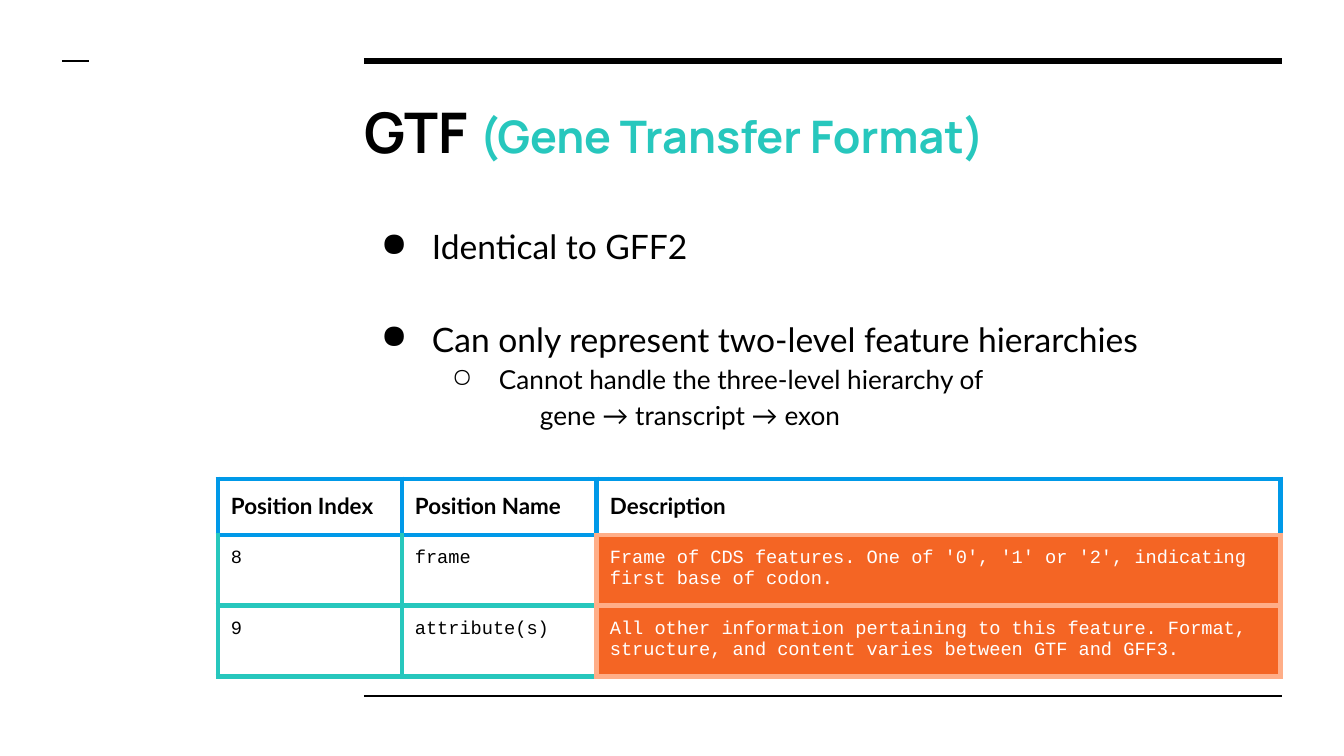
from lxml.etree import SubElement
from pptx import Presentation
from pptx.dml.color import RGBColor
from pptx.enum.shapes import MSO_CONNECTOR as Connector
from pptx.enum.text import MSO_ANCHOR as Anchor
from pptx.oxml.ns import qn
from pptx.util import Emu, Pt

SCALE = 914400 / 134.4
COLORS = {"black": "000000", "white": "FFFFFF", "aqua": "27C7BD",
          "blue": "0099E8", "orange": "F46524", "peach": "FFAE88"}
BORDER_RANK = ["aqua", "blue", "peach"]
PADDING = 13
BULLETS = [
    ("Identical to GFF2", 18, "●", 67, -51, 0),
    ("Can only represent two-level feature hierarchies", 18, "●", 67, -51, 24.84),
    ("Cannot handle the three-level hierarchy of", 14, "○", 134, -47, 0),
    ("gene → transcript → exon", 14, None, 175, 0, 0),
]
FIELDS = [
    ("Position Index", "Position Name", "Description"),
    ("8", "frame", "Frame of CDS features. One of '0', '1' or '2', "
     "indicating first base of codon."),
    ("9", "attribute(s)", "All other information pertaining to this feature. "
     "Format, structure, and content varies between GTF and GFF3."),
]
COLUMN_WIDTHS = (184, 195, 684)
ROW_HEIGHTS = (56, 69, 69)


def px(length):
    """Turn px into EMU."""
    return Emu(round(length * SCALE))


def color(name):
    """Return the named colour."""
    return RGBColor.from_string(COLORS[name])


def style_font(font, name, size, tint, bold=False):
    """Set the face, size, colour and weight of a font."""
    font.name, font.size, font.bold = name, Pt(size), bold
    font.color.rgb = color(tint)


def add_rule(page, left, right, y, weight):
    """Draw a horizontal black line."""
    rule = page.shapes.add_connector(
        Connector.STRAIGHT, px(left), px(y), px(right), px(y))
    rule.line.color.rgb = color("black")
    rule.line.width = Pt(weight)
    SubElement(rule._element.spPr, qn("a:effectLst"))


def add_frame(page, box):
    """Add a wrapping, padded text box and return its text frame."""
    frame = page.shapes.add_textbox(*map(px, box)).text_frame
    frame.word_wrap = True
    frame.vertical_anchor = Anchor.TOP
    frame.margin_left = frame.margin_right = px(PADDING)
    frame.margin_top = frame.margin_bottom = px(PADDING)
    return frame


def add_title(page, box):
    """Write the two-tone heading."""
    para = add_frame(page, box).paragraphs[0]
    for text, size, tint in (("GTF ", 30, "black"),
                             ("(Gene Transfer Format)", 24, "aqua")):
        span = para.add_run()
        span.text = text
        style_font(span.font, "Manrope", size, tint, True)


def add_bullets(page, box):
    """Write the two-level bullet list."""
    frame = add_frame(page, box)
    for index, (text, size, mark, margin, indent, gap) in enumerate(BULLETS):
        para = frame.add_paragraph() if index else frame.paragraphs[0]
        para.text = text
        para.line_spacing = 1.15
        para.space_before = Pt(gap)
        style_font(para.font, "Lato", size, "black")
        props = para._p.get_or_add_pPr()
        props.set("marL", str(px(margin)))
        props.set("indent", str(px(indent)))
        if mark:
            bullet = SubElement(props, qn("a:buChar"), char=mark)
            props.find(qn("a:defRPr")).addprevious(bullet)


def own_border(row, column):
    """Name the border colour of a cell's own kind."""
    if row == 0:
        return "blue"
    return "peach" if column == len(COLUMN_WIDTHS) - 1 else "aqua"


def draw_borders(cell, row, column):
    """Give each side the stronger colour of the cells that share it."""
    props = cell._tc.get_or_add_tcPr()
    for side, down, across in (("L", 0, -1), ("R", 0, 1), ("T", -1, 0), ("B", 1, 0)):
        sharing = [own_border(row, column)]
        next_row, next_column = row + down, column + across
        if 0 <= next_row < len(FIELDS) and 0 <= next_column < len(COLUMN_WIDTHS):
            sharing.append(own_border(next_row, next_column))
        tint = max(sharing, key=BORDER_RANK.index)
        line = SubElement(props, qn(f"a:ln{side}"), w=str(Pt(3)))
        fill = SubElement(line, qn("a:solidFill"))
        SubElement(fill, qn("a:srgbClr"), val=COLORS[tint])


def add_field_table(page, left, top):
    """Build the table of field positions."""
    table = page.shapes.add_table(
        len(FIELDS), len(COLUMN_WIDTHS), px(left), px(top),
        px(sum(COLUMN_WIDTHS)), px(sum(ROW_HEIGHTS))).table
    for column, width in zip(table.columns, COLUMN_WIDTHS):
        column.width = px(width)
    for row, height in zip(table.rows, ROW_HEIGHTS):
        row.height = px(height)
    for row, texts in enumerate(FIELDS):
        for column, text in enumerate(texts):
            cell = table.cell(row, column)
            vivid = own_border(row, column) == "peach"
            draw_borders(cell, row, column)
            cell.fill.solid()
            cell.fill.fore_color.rgb = color("orange" if vivid else "white")
            cell.margin_left = cell.margin_right = px(PADDING)
            cell.margin_top = cell.margin_bottom = px(PADDING)
            cell.text = text
            font = cell.text_frame.paragraphs[0].font
            if row == 0:
                style_font(font, "Lato", 12, "black", True)
            else:
                style_font(font, "Courier New", 10, "white" if vivid else "black")


def main():
    """Build and save the deck."""
    deck = Presentation()
    deck.slide_width, deck.slide_height = px(1344), px(756)
    page = deck.slides.add_slide(deck.slide_layouts[6])
    add_rule(page, 364, 1282, 61, 3)
    add_rule(page, 364, 1282, 696, 1.5)
    add_rule(page, 62, 89, 61, 1.5)
    add_title(page, (352, 85, 929, 93))
    add_bullets(page, (352, 207, 929, 245))
    add_field_table(page, 218, 479)
    deck.save("out.pptx")


if __name__ == "__main__":
    main()
